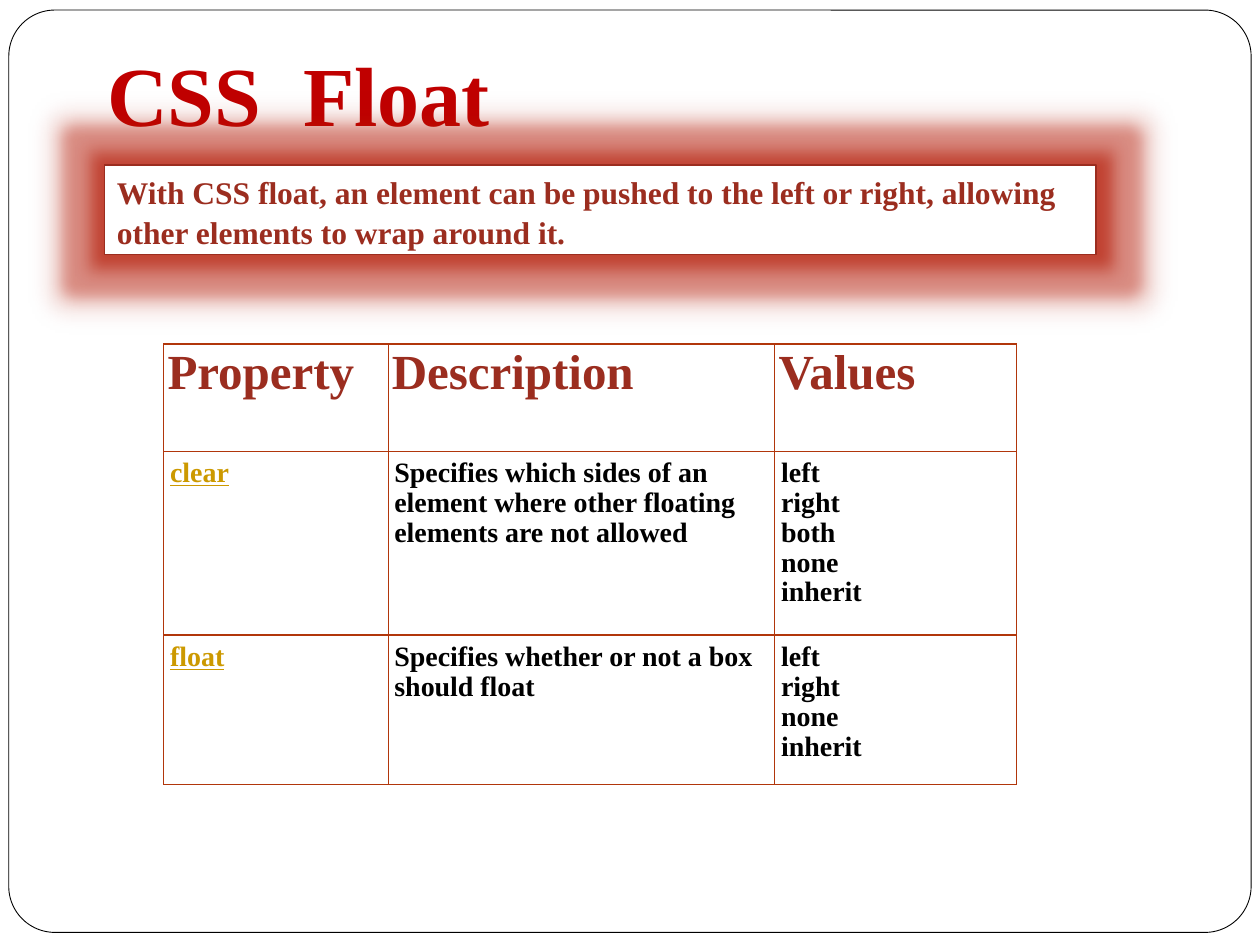
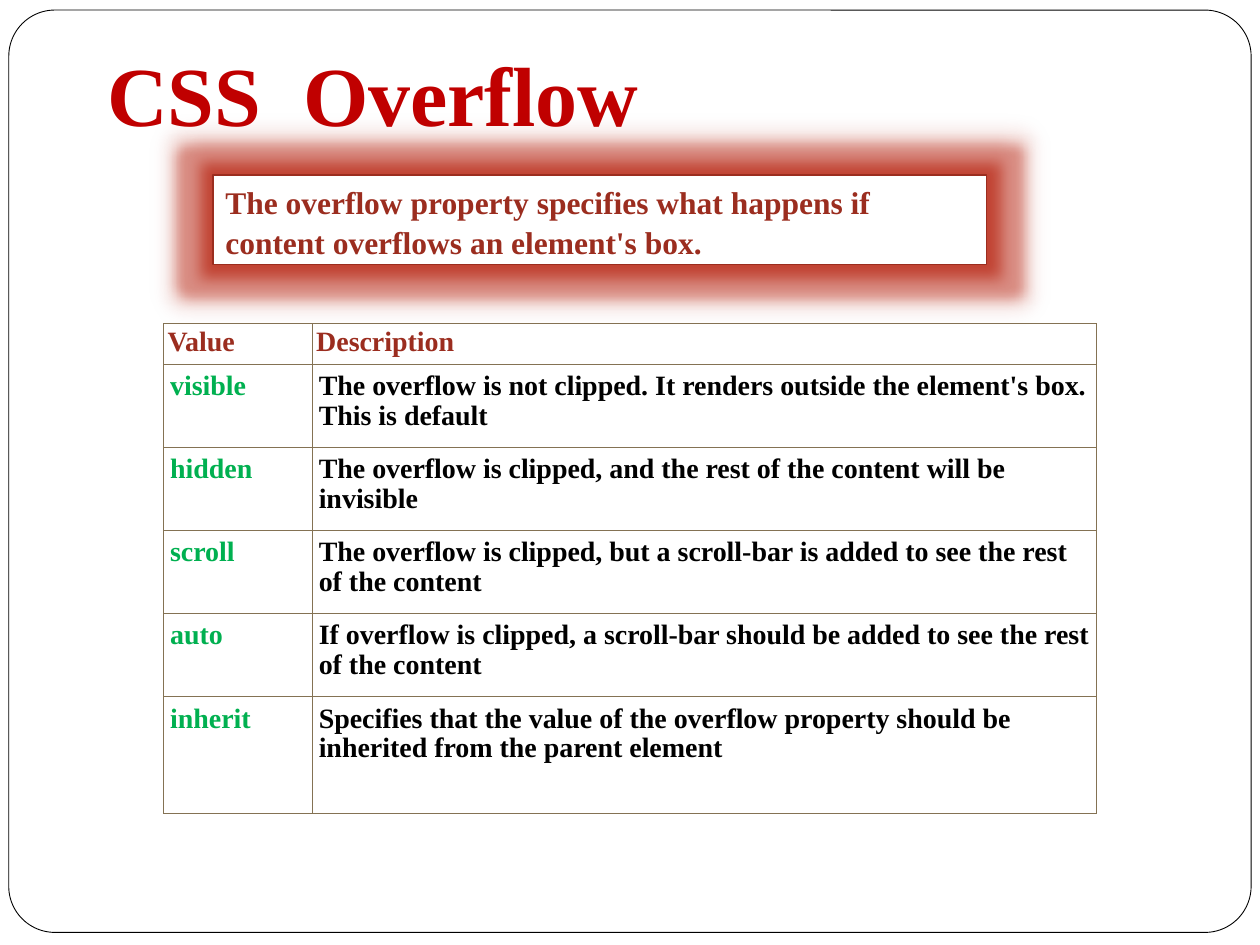
from lxml.etree import SubElement
from pptx import Presentation
from pptx.dml.color import RGBColor
from pptx.enum.shapes import MSO_SHAPE as Shape
from pptx.enum.text import MSO_ANCHOR as Anchor, MSO_AUTO_SIZE as AutoSize, PP_ALIGN as Align
from pptx.oxml.ns import qn
from pptx.util import Inches, Pt

COLORS = {
    "white": "FFFFFF", "black": "000000", "title": "C00000", "brick": "9B2D1F",
    "glow": "B41A06", "rust": "B1360B", "khaki": "847253",
    "gold": "CC9900", "green": "00B050",
}
FONT = "Times New Roman"
TITLE_ONLY = 5
MARGIN_SIDES = ("margin_left", "margin_top", "margin_right", "margin_bottom")


def color(name):
    return RGBColor.from_string(COLORS[name])


def inches(*values):
    return [Inches(value) for value in values]


def set_attributes(target, values):
    for name, value in values.items():
        setattr(target, name, value)


def set_margins(target, margins):
    set_attributes(target, dict(zip(MARGIN_SIDES, inches(*margins))))


def add_color(parent, name, alpha=None):
    node = SubElement(parent, qn("a:srgbClr"), val=COLORS[name])
    if alpha:
        SubElement(node, qn("a:alpha"), val=str(alpha * 1000))


class Deck:
    """Holds the shared style and the current slide."""

    def __init__(self):
        self.presentation = Presentation()
        set_attributes(self.presentation,
                       {"slide_width": Inches(10), "slide_height": Inches(7.5)})
        self.slide = None

    def set_text(self, frame, text, size, ink, spacing=1.0, underline=False):
        paragraph = frame.paragraphs[0]
        paragraph.text = text
        set_attributes(paragraph, {"alignment": Align.LEFT, "line_spacing": spacing})
        for run in paragraph.runs:
            set_attributes(run.font, {"name": FONT, "size": Pt(size), "bold": True,
                                      "underline": underline})
            run.font.color.rgb = color(ink)

    def set_frame(self, frame, right_margin=0.1):
        set_margins(frame, (0.1, 0.05, right_margin, 0.05))
        set_attributes(frame, {"word_wrap": True, "vertical_anchor": Anchor.TOP,
                               "auto_size": AutoSize.NONE})

    def add_panel(self, kind, box, line, width):
        shape = self.slide.shapes.add_shape(kind, *inches(*box))
        shape.shadow.inherit = False
        shape.fill.solid()
        shape.fill.fore_color.rgb = color("white")
        shape.line.color.rgb = color(line)
        shape.line.width = Pt(width)
        return shape

    def add_slide(self, text):
        """Start a slide with the rounded frame behind its title."""
        layout = self.presentation.slide_layouts[TITLE_ONLY]
        self.slide = self.presentation.slides.add_slide(layout)
        title = self.slide.shapes.title
        frame = self.add_panel(Shape.ROUNDED_RECTANGLE, (0.07, 0.08, 9.86, 7.32), "black", 0.5)
        frame.adjustments[0] = 0.05
        title.element.addprevious(frame.element)
        box = inches(0.75, 0.29, 7.69, 0.91)
        set_attributes(title, dict(zip(("left", "top", "width", "height"), box)))
        self.set_frame(title.text_frame)
        self.set_text(title.text_frame, text, 48, "title")

    def add_callout(self, box, text, glow, right_margin=0.1):
        """Add a bordered statement with a red glow of the given radius in points."""
        shape = self.add_panel(Shape.RECTANGLE, box, "brick", 1)
        self.set_frame(shape.text_frame, right_margin)
        self.set_text(shape.text_frame, text, 18, "brick", 1.05)
        effects = shape.element.spPr.find(qn("a:effectLst"))
        halo = SubElement(effects, qn("a:glow"), rad=str(Pt(glow)))
        add_color(halo, "glow", 40)
        inner = SubElement(effects, qn("a:outerShdw"), blurRad=str(Pt(7)), dist="0",
                           sx="102000", sy="116000", algn="ctr", rotWithShape="0")
        add_color(inner, "glow", 50)

    def add_border(self, cell, line):
        properties = cell._tc.get_or_add_tcPr()
        for position, side in enumerate(("lnL", "lnR", "lnT", "lnB")):
            border = SubElement(properties, qn(f"a:{side}"), w=str(Pt(0.75)))
            add_color(SubElement(border, qn("a:solidFill")), line)
            properties.insert(position, border)

    def add_grid(self, origin, widths, heights, rows, line, header_size, key_ink,
                 key_underline=False):
        """Add a table with a header row and a coloured first column."""
        area = (*origin, sum(widths), sum(heights))
        table = self.slide.shapes.add_table(len(rows), len(widths), *inches(*area)).table
        set_attributes(table, {"first_row": False, "horz_banding": False})
        for column, width in zip(table.columns, widths):
            column.width = Inches(width)
        for row, height in zip(table.rows, heights):
            row.height = Inches(height)
        for row_index, texts in enumerate(rows):
            for column_index, text in enumerate(texts):
                cell = table.cell(row_index, column_index)
                is_key = row_index > 0 and column_index == 0
                if row_index == 0:
                    size, ink, margins = header_size, "brick", (0.03,) * 4
                else:
                    size, ink, margins = 16, key_ink if is_key else "black", (0.05, 0.06) * 2
                self.set_text(cell.text_frame, text, size, ink, 0.96, is_key and key_underline)
                set_margins(cell, margins)
                cell.vertical_anchor = Anchor.TOP
                cell.fill.background()
                self.add_border(cell, line)


FLOAT_ROWS = [
    ("Property", "Description", "Values"),
    ("clear", "Specifies which sides of an element where other floating elements are not allowed",
     "left\nright\nboth\nnone\ninherit"),
    ("float", "Specifies whether or not a box should float", "left\nright\nnone\ninherit"),
]
OVERFLOW_ROWS = [
    ("Value", "Description"),
    ("visible", "The overflow is not clipped. It renders outside the element's box. This is default"),
    ("hidden", "The overflow is clipped, and the rest of the content will be invisible"),
    ("scroll", "The overflow is clipped, but a scroll-bar is added to see the rest of the content"),
    ("auto", "If overflow is clipped, a scroll-bar should be added to see the rest of the content"),
    ("inherit", "Specifies that the value of the overflow property should be inherited "
                "from the parent element"),
]


def main():
    deck = Deck()

    # Float
    deck.add_slide("CSS  Float")
    deck.add_callout((0.83, 1.31, 7.87, 0.71),
                     "With CSS float, an element can be pushed to the left or right, "
                     "allowing other elements to wrap around it.", glow=18)
    deck.add_grid((1.3, 2.73), (1.78, 3.07, 1.92), (0.85, 1.46, 1.19), FLOAT_ROWS,
                  "rust", 28, "gold", key_underline=True)

    # Overflow
    deck.add_slide("CSS  Overflow")
    deck.add_grid((1.3, 2.57), (1.18, 6.22), (0.32, *[0.66] * 4, 0.93), OVERFLOW_ROWS,
                  "khaki", 16, "green")
    deck.add_callout((1.69, 1.39, 6.14, 0.71),
                     "The overflow property specifies what happens if content overflows "
                     "an element's box.", glow=14, right_margin=0.4)

    deck.presentation.save("out.pptx")


if __name__ == "__main__":
    main()
